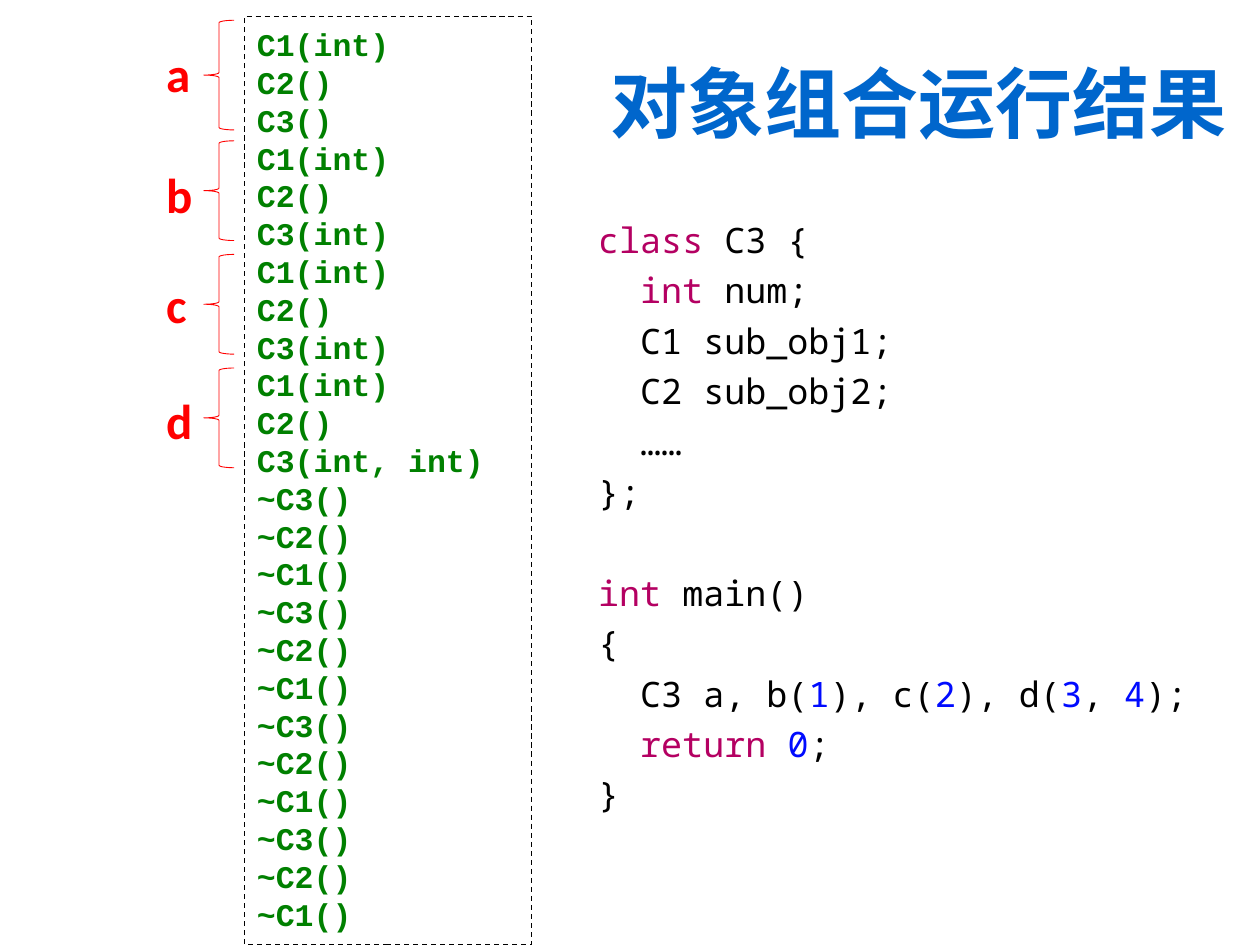
"""Builds the slide on the output of the object composition program."""
from pptx import Presentation
from pptx.dml.color import RGBColor
from pptx.enum.dml import MSO_LINE
from pptx.enum.shapes import MSO_SHAPE as Shape
from pptx.enum.text import MSO_ANCHOR as Anchor, MSO_AUTO_SIZE as Fit, PP_ALIGN as Align
from pptx.oxml.ns import qn
from pptx.util import Cm, Pt

THEME = {
    "title": {"font": "Noto Sans CJK SC", "size": 44, "bold": True, "color": "0066CC"},
    "output": {"font": "Courier New", "size": 18, "bold": True, "color": "008000"},
    "label": {"font": "Calibri", "size": 28, "bold": True, "color": "FF0000"},
    "code": {"font": "Noto Sans Mono", "size": 20, "bold": False, "color": "000000"},
    "keyword": "B40062",
    "number": "000BFF",
    "frame": "000000",
    "brace": "FF0000",
}
OUTPUT_PITCH, CODE_PITCH, CODE_INDENT = Pt(21.6), Pt(28.8), Pt(24)

TITLE = "对象组合运行结果"
CONSTRUCTED = ["C3()", "C3(int)", "C3(int)", "C3(int, int)"]
DESTROYED = ["~C3()", "~C2()", "~C1()"]
OUTPUT = [line for last in CONSTRUCTED for line in ("C1(int)", "C2()", last)]
OUTPUT += DESTROYED * len(CONSTRUCTED)

# name, label top, brace top, brace height
OBJECTS = [
    ("a", 0.76, 0.41, 2.21),
    ("b", 3.2, 2.84, 2.01),
    ("c", 5.41, 5.13, 2.01),
    ("d", 7.75, 7.42, 2.01),
]

CLASS_CODE = [
    (0, [("class", "keyword"), (" C3 {", None)]),
    (1, [("int ", "keyword"), ("num;", None)]),
    (1, [("C1 sub_obj1;", None)]),
    (1, [("C2 sub_obj2;", None)]),
    (1, [("……", None)]),
    (0, [("};", None)]),
]
MAIN_CODE = [
    (0, [("int", "keyword"), (" main()", None)]),
    (0, [("{", None)]),
    (1, [("C3 a, b(", None), ("1", "number"), ("), c(", None), ("2", "number"),
         ("), d(", None), ("3", "number"), (", ", None), ("4", "number"), (");", None)]),
    (1, [("return ", "keyword"), ("0", "number"), (";", None)]),
    (0, [("}", None)]),
]


def add_span(para, text, style, color=None):
    """Add one run in a theme style."""
    look = THEME[style]
    span = para.add_run()
    span.text = text
    span.font.name = look["font"]
    span.font.size = Pt(look["size"])
    span.font.bold = look["bold"]
    span.font.color.rgb = RGBColor.from_string(color or look["color"])
    east_asian = span.font._element.makeelement(qn("a:ea"), {"typeface": look["font"]})
    span.font._element.find(qn("a:latin")).addnext(east_asian)


def next_para(frame, index):
    """Return the first paragraph or a new one."""
    return frame.add_paragraph() if index else frame.paragraphs[0]


def add_outline(slide, kind, place, color, width):
    """Add an unfilled shape with a thin line."""
    shape = slide.shapes.add_shape(kind, *map(Cm, place))
    shape.shadow.inherit = False
    shape.fill.background()
    shape.line.color.rgb = RGBColor.from_string(color)
    shape.line.width = Pt(width)
    return shape


def add_title(slide):
    """Place and fill the title placeholder."""
    title = slide.shapes.title
    title.left, title.top, title.width, title.height = map(Cm, (3.1, 0.33, 21.89, 3.68))
    frame = title.text_frame
    frame.auto_size = Fit.NONE
    frame.vertical_anchor = Anchor.MIDDLE
    para = frame.paragraphs[0]
    para.alignment = Align.RIGHT
    para.line_spacing = 0.9
    add_span(para, TITLE, "title")


def add_output(slide):
    """Add the dashed frame with the printed lines."""
    box = add_outline(slide, Shape.RECTANGLE, (4.93, 0.33, 5.79, 18.72), THEME["frame"], 0.75)
    box.line.dash_style = MSO_LINE.DASH
    frame = box.text_frame
    frame.word_wrap = True
    frame.vertical_anchor = Anchor.TOP
    frame.margin_top = Cm(0.18)
    for index, line in enumerate(OUTPUT):
        para = next_para(frame, index)
        para.alignment = Align.LEFT
        para.line_spacing = OUTPUT_PITCH
        add_span(para, line, "output")


def add_objects(slide):
    """Add a brace and a name for each constructed object."""
    for name, label_top, brace_top, brace_height in OBJECTS:
        place = (4.11, brace_top, 0.61, brace_height)
        add_outline(slide, Shape.LEFT_BRACE, place, THEME["brace"], 0.5)
        label = slide.shapes.add_textbox(*map(Cm, (3.1, label_top, 1.02, 1.45)))
        label.text_frame.word_wrap = False
        add_span(label.text_frame.paragraphs[0], name, "label")


def add_code(slide):
    """Add the class and the main function."""
    box = slide.shapes.add_textbox(*map(Cm, (11.81, 4.11, 13.59, 12.45)))
    frame = box.text_frame
    frame.word_wrap = True
    for index, (level, spans) in enumerate(CLASS_CODE + MAIN_CODE):
        para = next_para(frame, index)
        para.line_spacing = CODE_PITCH
        if index == len(CLASS_CODE):
            para.space_before = CODE_PITCH
        if level:
            para._p.get_or_add_pPr().set("marL", str(level * CODE_INDENT))
        for text, role in spans:
            add_span(para, text, "code", THEME.get(role))


def main():
    """Build and save the deck."""
    deck = Presentation()
    deck.slide_width, deck.slide_height = Cm(25.4), Cm(19.05)
    page = deck.slides.add_slide(deck.slide_layouts[5])
    add_title(page)
    add_output(page)
    add_objects(page)
    add_code(page)
    deck.save("out.pptx")


if __name__ == "__main__":
    main()
